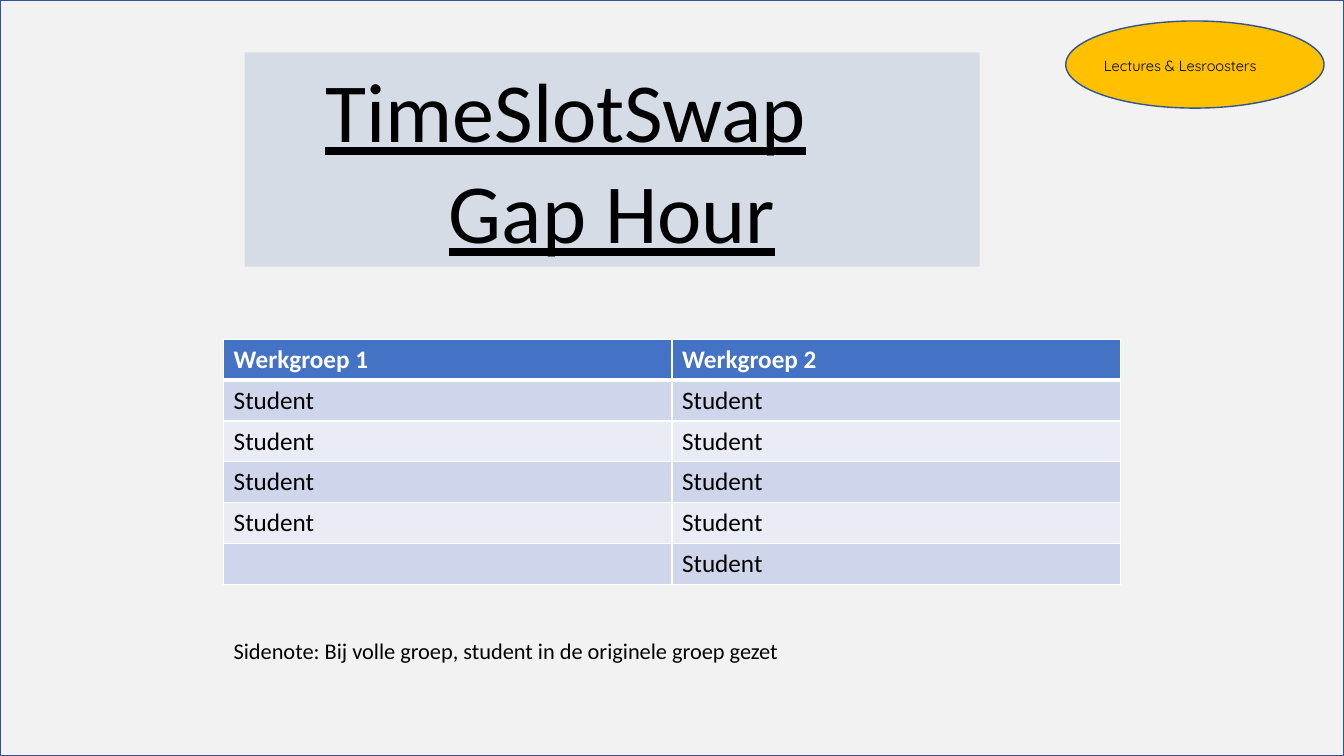
from dataclasses import dataclass

from lxml import etree
from pptx import Presentation, util as u
from pptx.dml.color import RGBColor
from pptx.enum import shapes, text
from pptx.oxml import ns

PX = 9525


@dataclass(frozen=True)
class Theme:
    """Colours, fonts and type sizes."""
    back: str = "F2F2F2"
    edge: str = "325491"
    panel: str = "D6DCE5"
    badge: str = "FFC000"
    ink: str = "000000"
    white: str = "FFFFFF"
    head: str = "4472C4"
    bands: tuple = ("CFD5EA", "E9EBF5")
    body: str = "Calibri"
    tag: str = "Quicksand"
    title: float = 60
    cell: float = 18
    note: float = 16
    small: float = 10.5


class Deck:
    """Draws styled elements on the current slide."""

    def __init__(self, theme, width, height):
        """Open a blank slide of the given size."""
        self.theme = theme
        self.file = Presentation()
        self.file.slide_width, self.file.slide_height = width * PX, height * PX
        self.slide = self.file.slides.add_slide(self.file.slide_layouts[6])

    def style(self, para, size, color=None, face=None, bold=False):
        """Set the font of a paragraph."""
        font = para.font
        font.size, font.bold = u.Pt(size), bold
        font.name = face or self.theme.body
        font.color.rgb = RGBColor.from_string(color or self.theme.ink)

    def shape(self, kind, box, fill, line=None):
        """Add a filled shape, outlined if a line colour is given."""
        item = self.slide.shapes.add_shape(kind, *(n * PX for n in box))
        item.shadow.inherit = False
        item.fill.solid()
        item.fill.fore_color.rgb = RGBColor.from_string(fill)
        if line:
            item.line.color.rgb = RGBColor.from_string(line)
            item.line.width = u.Pt(1)
        else:
            item.line.fill.background()
        return item

    def title(self, box, lines, inset, tab):
        """Add a panel whose first line is underlined up to a tab stop."""
        frame = self.shape(shapes.MSO_SHAPE.RECTANGLE, box, self.theme.panel).text_frame
        frame.word_wrap = True
        frame.margin_left = frame.margin_right = inset * PX
        frame.text = "\n".join(lines)
        first, last = frame.paragraphs
        first.alignment, last.alignment = text.PP_ALIGN.LEFT, text.PP_ALIGN.CENTER
        first.add_run().text = "\t"
        stops = etree.SubElement(first._p.get_or_add_pPr(), ns.qn("a:tabLst"))
        etree.SubElement(stops, ns.qn("a:tab"), pos=str(tab * PX), algn="l")
        for para in frame.paragraphs:
            self.style(para, self.theme.title)
            para.font.underline = True

    def label(self, box, words, size, face=None, space=None):
        """Add a wrapped text box."""
        frame = self.slide.shapes.add_textbox(*(n * PX for n in box)).text_frame
        frame.word_wrap = True
        frame.text = words
        para = frame.paragraphs[0]
        para.line_spacing = space
        self.style(para, size, face=face)

    def border(self, cell, widths):
        """Draw white cell borders with widths in points by side."""
        props = cell._tc.get_or_add_tcPr()
        for side, width in widths.items():
            line = etree.SubElement(props, ns.qn(f"a:ln{side}"), w=str(u.Pt(width)))
            fill = etree.SubElement(line, ns.qn("a:solidFill"))
            etree.SubElement(fill, ns.qn("a:srgbClr"), val=self.theme.white)

    def table(self, left, top, wide, high, rows):
        """Add a banded table with a header row."""
        look = self.theme
        count, cols = len(rows), len(rows[0])
        box = (left, top, wide * cols, high * count)
        grid = self.slide.shapes.add_table(count, cols, *(n * PX for n in box)).table
        for r, row in enumerate(rows):
            for c, words in enumerate(row):
                cell = grid.cell(r, c)
                cell.text = words
                self.border(cell, {"L": 1, "R": 1, "T": 3 if r == 1 else 1,
                                   "B": 3 if r == 0 else 1})
                cell.fill.solid()
                fill = look.bands[(r - 1) % 2] if r else look.head
                cell.fill.fore_color.rgb = RGBColor.from_string(fill)
                self.style(cell.text_frame.paragraphs[0], look.cell,
                           look.ink if r else look.white, bold=r == 0)


def main():
    """Build the slide and save it."""
    look = Theme()
    deck = Deck(look, 1280, 720)
    deck.shape(shapes.MSO_SHAPE.RECTANGLE, (0, 0, 1280, 720), look.back, look.edge)
    deck.title((233, 50, 700, 204), ("TimeSlotSwap", "Gap Hour"), 77, 545)
    rows = [("Werkgroep 1", "Werkgroep 2"), *[("Student", "Student")] * 4, ("", "Student")]
    deck.table(213, 323, 427, 39, rows)
    deck.label((213, 602, 853, 36),
               "Sidenote: Bij volle groep, student in de originele groep gezet", look.note)
    deck.shape(shapes.MSO_SHAPE.OVAL, (1015, 20, 246, 83), look.badge, look.edge)
    deck.label((1042, 51, 192, 21), "Lectures & Lesroosters", look.small, look.tag, 0.9)
    deck.file.save("out.pptx")


if __name__ == "__main__":
    main()
